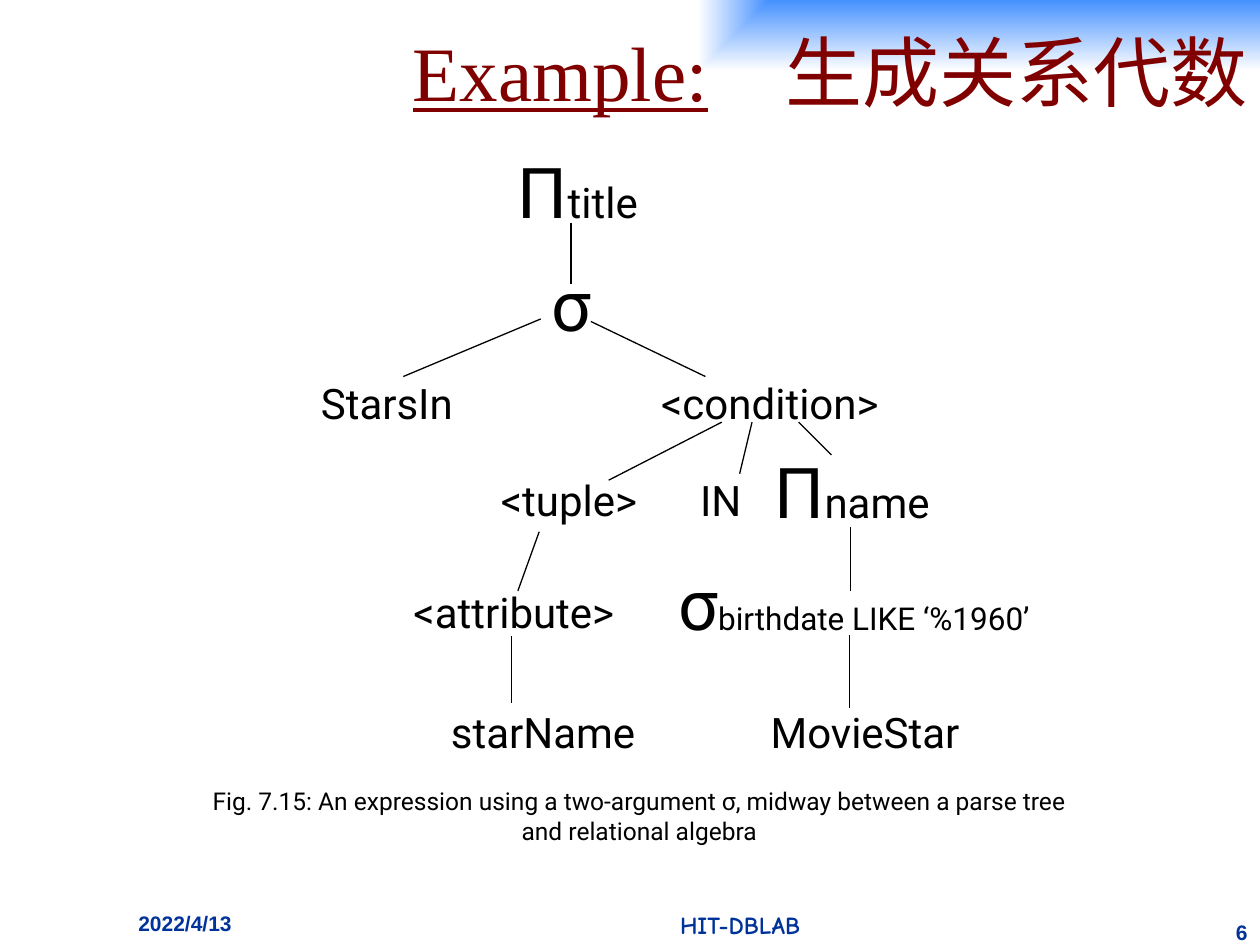
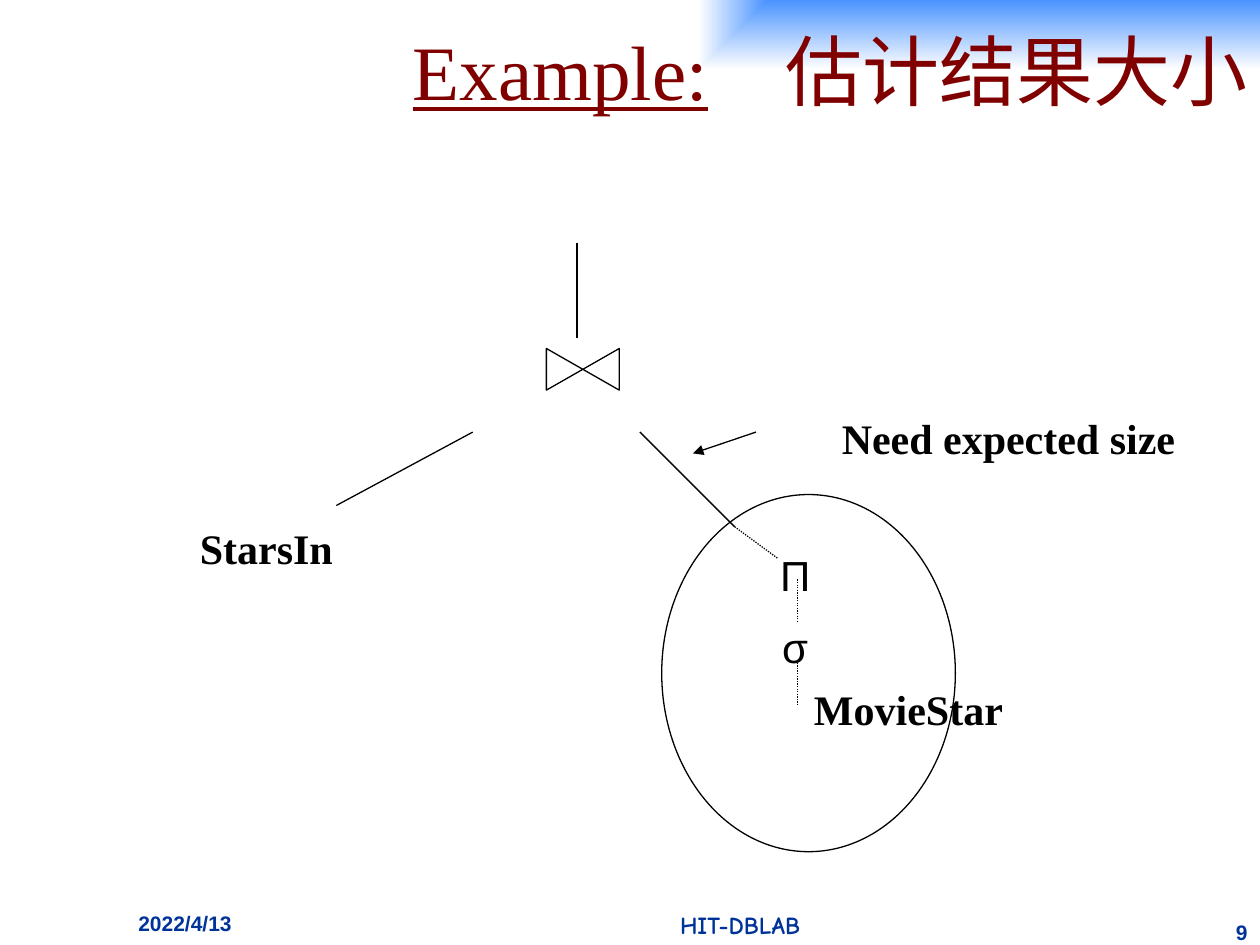
from lxml.etree import SubElement
from pptx import Presentation
from pptx.dml.color import RGBColor
from pptx.enum.dml import MSO_LINE
from pptx.enum.shapes import MSO_CONNECTOR, MSO_SHAPE
from pptx.enum.text import MSO_ANCHOR, PP_ALIGN
from pptx.oxml.ns import qn
from pptx.util import Cm, Pt

COLORS = {"text": "000000", "title": "800000", "footer": "003399",
          "band": "3F8DFF", "paper": "FFFFFF"}
ROBOTO, ARIAL, TIMES = "Roboto", "Arial", "Times New Roman"
COMIC, CJK = "Comic Neue", "Noto Sans CJK SC"
ASCENT = {ROBOTO: 0.928, ARIAL: 0.905, TIMES: 0.891, COMIC: 0.95}
CM_PER_POINT = 2.54 / 72
LABEL_EM = 0.03
ALIGN = {"left": PP_ALIGN.LEFT, "center": PP_ALIGN.CENTER, "right": PP_ALIGN.RIGHT}
SHIFT = {"left": 0, "center": 0.5, "right": 1}

DATE, LAB = "2022/4/13", "HIT-DBLAB"

ALGEBRA = {"title": "生成关系代数", "number": "6", "band_top": -0.05}
TREE_NODES = [
    (11.65, 4.31, [("Π", 40), ("title", 24)]),
    (11.51, 6.58, [("σ", 40)]),
    (7.8, 8.39, [("StarsIn", 24)]),
    (15.52, 8.39, [("<condition>", 24)]),
    (11.47, 10.36, [("<tuple>", 24)]),
    (14.53, 10.36, [("IN", 24)]),
    (17.18, 10.36, [("Π", 40), ("name", 24)]),
    (10.36, 12.6, [("<attribute>", 24)]),
    (17.22, 12.6, [("σ", 40), ("birthdate LIKE ‘%1960’", 18)]),
    (10.95, 15.02, [("starName", 24)]),
    (17.44, 15.02, [("MovieStar", 24)]),
]
TREE_EDGES = [
    (11.51, 4.5, 11.51, 5.72),
    (10.9, 6.43, 8.13, 7.59),
    (11.91, 6.48, 14.22, 7.59),
    (14.55, 8.51, 12.27, 9.68),
    (15.16, 8.51, 14.91, 9.55),
    (16.1, 8.51, 16.76, 9.17),
    (10.87, 10.72, 10.44, 11.91),
    (10.31, 12.83, 10.31, 14.17),
    (17.15, 10.62, 17.15, 11.91),
    (17.12, 12.8, 17.12, 14.27),
]
CAPTION = ("Fig. 7.15: An expression using a two-argument σ, "
           "midway between a parse tree and relational algebra")

ESTIMATE = {"title": "估计结果大小", "number": "9", "band_top": -0.08}
SIZE_LABELS = [
    (16.97, 9.07, "Need expected size"),
    (4.03, 11.29, "StarsIn"),
    (16.41, 14.53, "MovieStar"),
]
OPERATORS = [(16.03, 11.85, "Π"), (16.03, 13.3, "σ")]
JOIN_EDGES = [
    (9.53, 8.71, 6.78, 10.19),
    (11.63, 4.9, 11.63, 6.81),
    (12.9, 8.71, 14.81, 10.62),
]
DOTTED_EDGES = [
    (14.81, 10.62, 15.67, 11.25),
    (16.08, 13.36, 16.08, 14.22),
    (16.08, 11.68, 16.08, 12.52),
]
SIZE_ARROW = (15.24, 8.71, 13.97, 9.14)
SUBQUERY_OVAL = (13.34, 9.97, 5.92, 7.2)
JOIN_SYMBOL = (11.33, 6.71, 0.84, 1.47)


def rgb(name):
    return RGBColor.from_string(COLORS[name])


def add_span(para, text, size, font, color="text", bold=False, underline=False):
    span = para.add_run()
    span.text = text
    span.font.size = Pt(size)
    span.font.bold = bold
    span.font.underline = underline
    span.font.color.rgb = rgb(color)
    span.font.name = font
    SubElement(span.font._element, qn("a:ea"), typeface=font)


def add_box(page, left, top, width, height, align):
    box = page.shapes.add_textbox(Cm(left), Cm(top), Cm(width), Cm(height))
    frame = box.text_frame
    frame.word_wrap = True
    frame.margin_left = frame.margin_right = 0
    frame.margin_top = frame.margin_bottom = 0
    para = frame.paragraphs[0]
    para.alignment = ALIGN[align]
    return para


def add_label(page, x, baseline, runs, font=ROBOTO, align="center", **style):
    size = max(points for _, points in runs)
    width = LABEL_EM * sum(len(text) * points for text, points in runs)
    top = baseline - ASCENT[font] * size * CM_PER_POINT
    para = add_box(page, x - SHIFT[align] * width, top, width,
                   1.2 * size * CM_PER_POINT, align)
    for text, points in runs:
        add_span(para, text, points, font, **style)


def add_edge(page, ends, dotted=False, arrow=False):
    edge = page.shapes.add_connector(MSO_CONNECTOR.STRAIGHT, *map(Cm, ends))
    edge.line.color.rgb = rgb("text")
    edge.line.width = Pt(0.75)
    if dotted:
        edge.line.dash_style = MSO_LINE.ROUND_DOT
    if arrow:
        SubElement(edge.line._get_or_add_ln(), qn("a:tailEnd"), type="triangle")
    SubElement(edge._element.spPr, qn("a:effectLst"))


def add_outline(page, kind, place):
    shape = page.shapes.add_shape(kind, *map(Cm, place))
    shape.shadow.inherit = False
    shape.fill.solid()
    shape.fill.fore_color.rgb = rgb("paper")
    shape.line.color.rgb = rgb("text")
    shape.line.width = Pt(0.75)
    return shape


def add_title_band(page, title, top):
    band = page.shapes.add_shape(MSO_SHAPE.RECTANGLE, Cm(2.74), Cm(top), Cm(22.66), Cm(2.97))
    band.shadow.inherit = False
    band.line.fill.background()
    band.fill.gradient()
    for stop, color, position in zip(band.fill.gradient_stops, ("band", "paper"), (0, 1)):
        stop.color.rgb = rgb(color)
        stop.position = position
    gradient = band._element.spPr.find(qn("a:gradFill"))
    gradient.remove(gradient.find(qn("a:lin")))
    path = SubElement(gradient, qn("a:path"), path="rect")
    SubElement(path, qn("a:fillToRect"), l="100000", b="100000")
    band.text_frame.vertical_anchor = MSO_ANCHOR.MIDDLE
    para = band.text_frame.paragraphs[0]
    para.alignment = PP_ALIGN.RIGHT
    add_span(para, "Example:", 44, TIMES, "title", underline=True)
    add_span(para, "　" + title, 44, CJK, "title")


def add_page(deck, title, number, band_top):
    page = deck.slides.add_slide(deck.slide_layouts[6])
    add_title_band(page, title, band_top)
    for x, baseline, text, size, font, align in (
        (2.79, 18.73, DATE, 12, ARIAL, "left"),
        (14.92, 18.81, LAB, 14, COMIC, "center"),
        (25.15, 18.93, number, 12, ARIAL, "right"),
    ):
        add_label(page, x, baseline, [(text, size)], font, align,
                  color="footer", bold=True)
    return page


def build_algebra(deck):
    page = add_page(deck, **ALGEBRA)
    for x, baseline, runs in TREE_NODES:
        add_label(page, x, baseline, runs)
    for ends in TREE_EDGES:
        add_edge(page, ends)
    add_span(add_box(page, 3.99, 15.85, 17.8, 1.2, "center"), CAPTION, 14, ROBOTO)


def build_estimate(deck):
    page = add_page(deck, **ESTIMATE)
    add_outline(page, MSO_SHAPE.OVAL, SUBQUERY_OVAL)
    add_outline(page, MSO_SHAPE.FLOWCHART_COLLATE, JOIN_SYMBOL).rotation = 270
    for x, baseline, text in SIZE_LABELS:
        add_label(page, x, baseline, [(text, 24)], TIMES, "left", bold=True)
    for x, baseline, text in OPERATORS:
        add_label(page, x, baseline, [(text, 24)], ARIAL)
    for ends in JOIN_EDGES:
        add_edge(page, ends)
    for ends in DOTTED_EDGES:
        add_edge(page, ends, dotted=True)
    add_edge(page, SIZE_ARROW, arrow=True)


def main():
    deck = Presentation()
    deck.slide_width, deck.slide_height = Cm(25.4), Cm(19.05)
    build_algebra(deck)
    build_estimate(deck)
    deck.save("out.pptx")


if __name__ == "__main__":
    main()
